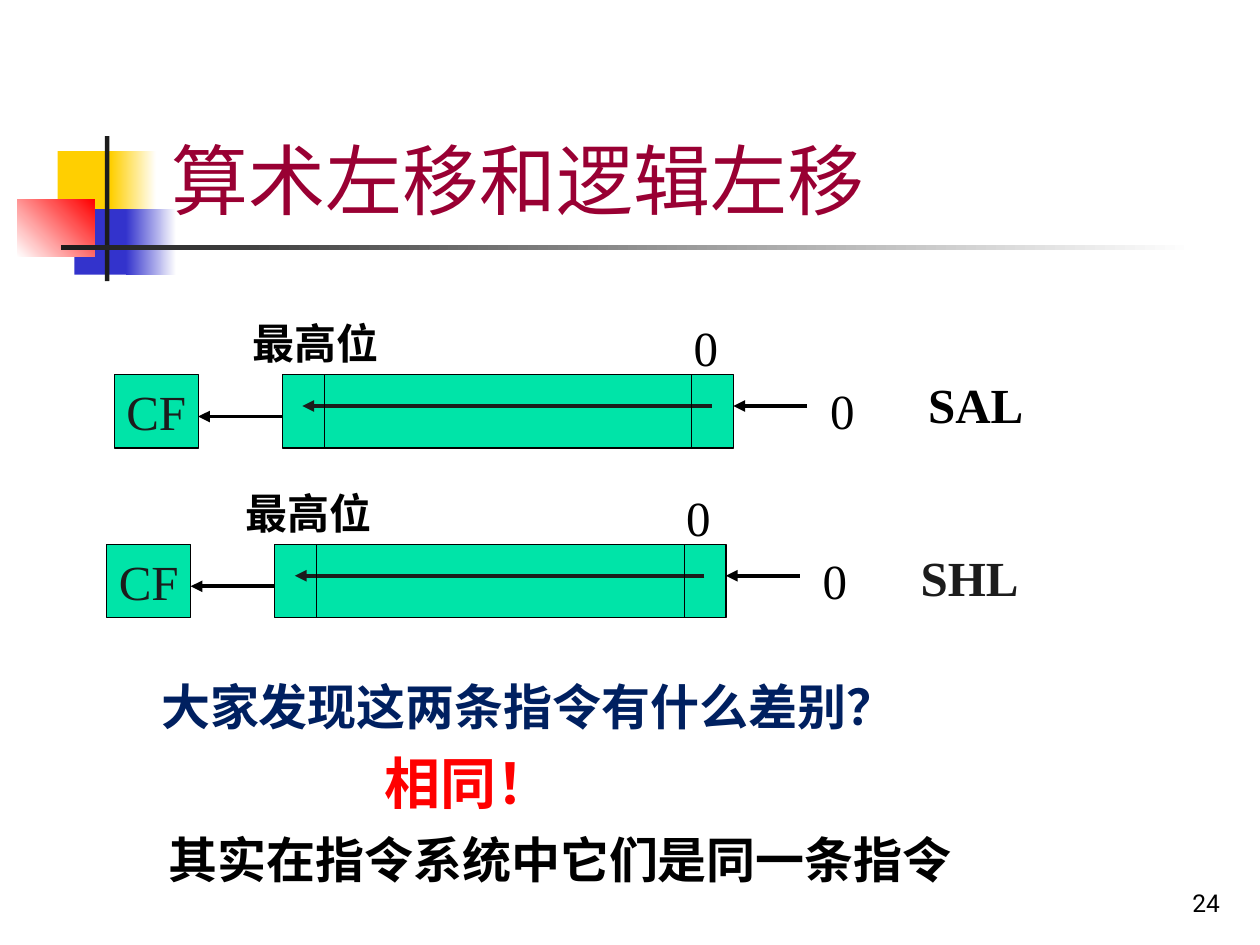
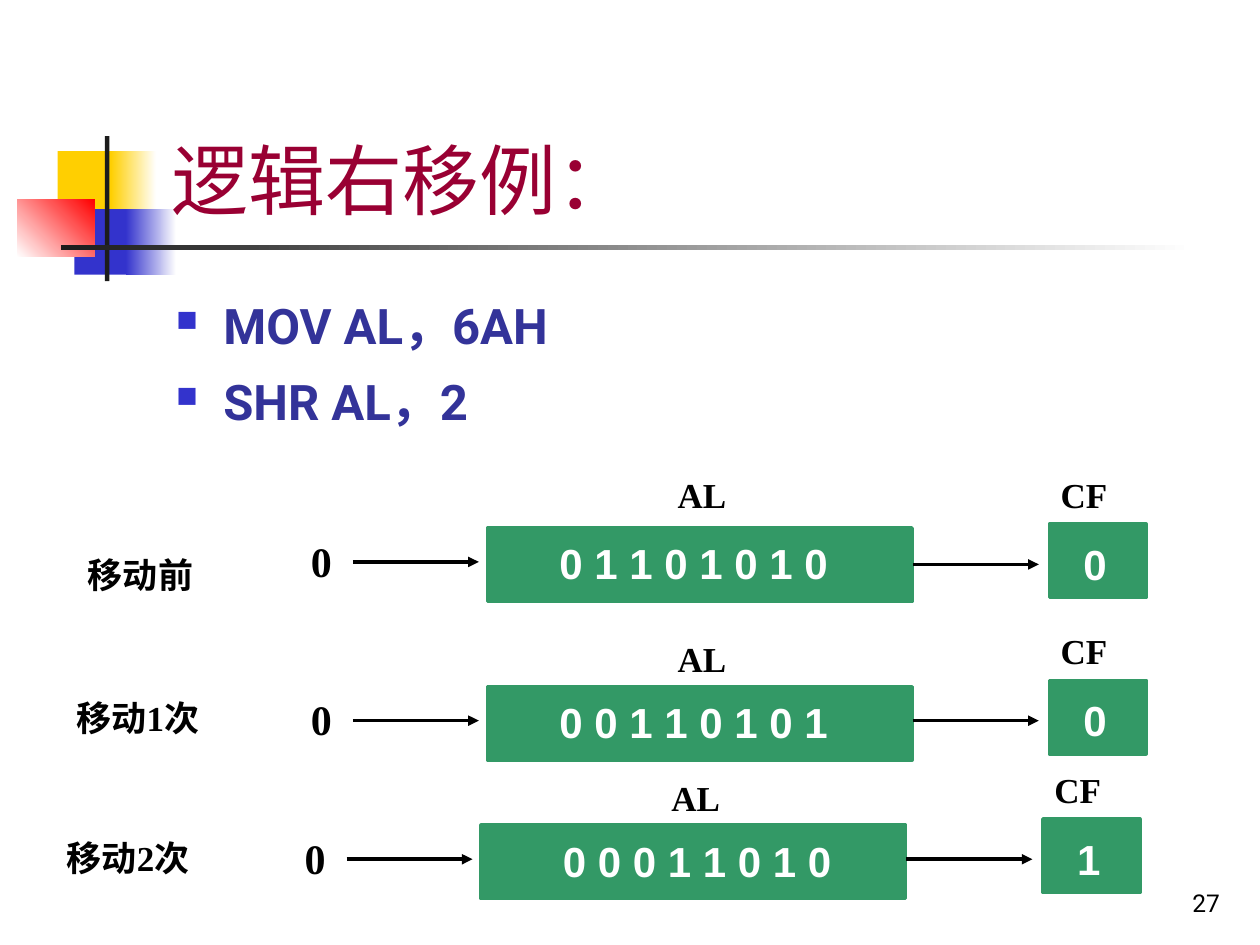
from lxml import etree
from pptx import Presentation
from pptx.dml.color import RGBColor
from pptx.enum.shapes import MSO_CONNECTOR, MSO_SHAPE
from pptx.enum.text import MSO_ANCHOR, PP_ALIGN
from pptx.oxml.ns import qn
from pptx.util import Pt

RECT = MSO_SHAPE.RECTANGLE
LINE = MSO_CONNECTOR.STRAIGHT
TOP, MIDDLE, BOTTOM = MSO_ANCHOR.TOP, MSO_ANCHOR.MIDDLE, MSO_ANCHOR.BOTTOM
LEFT, CENTER, RIGHT = PP_ALIGN.LEFT, PP_ALIGN.CENTER, PP_ALIGN.RIGHT

COLORS = {
    "black": "000000", "ink": "1C1C1C", "white": "FFFFFF",
    "gold": "FFCF01", "blue": "3333CC", "red": "FF0000",
    "wine": "990033", "code": "333399", "navy": "002060",
    "mint": "00E4A8", "green": "339966",
}

SERIF, SANS, PLAIN = "Times New Roman", "Arial", "Roboto"
FORMATS = {
    "title": {"name": PLAIN, "size": Pt(44), "bold": False},
    "page": {"name": PLAIN, "size": Pt(14), "bold": False},
    "code": {"name": PLAIN, "size": Pt(28), "bold": True},
    "digit": {"name": SERIF, "size": Pt(28), "bold": False},
    "name": {"name": SERIF, "size": Pt(28), "bold": True},
    "mark": {"name": SERIF, "size": Pt(24), "bold": True},
    "label": {"name": SERIF, "size": Pt(20), "bold": True},
    "bits": {"name": SANS, "size": Pt(24), "bold": True},
    "remark": {"name": SANS, "size": Pt(28), "bold": True},
    "answer": {"name": SANS, "size": Pt(32), "bold": True},
}


def rgb(color):
    return RGBColor.from_string(COLORS[color])


def add_run(para, words, style, color):
    run = para.add_run()
    run.text = words
    for key, value in FORMATS[style].items():
        setattr(run.font, key, value)
    run.font.color.rgb = rgb(color)
    run._r.get_or_add_rPr().set("lang", "zh-CN")


def add_text(slide, at, words, style, color="black", align=LEFT, anchor=TOP):
    frame = slide.shapes.add_textbox(*map(Pt, at)).text_frame
    frame.word_wrap = True
    frame.vertical_anchor = anchor
    para = frame.paragraphs[0]
    para.alignment = align
    add_run(para, words, style, color)


def add_box(slide, at, fill, edge=None, width=0.75):
    box = slide.shapes.add_shape(RECT, *map(Pt, at))
    box.shadow.inherit = False
    box.fill.solid()
    box.fill.fore_color.rgb = rgb(fill)
    if edge:
        box.line.color.rgb = rgb(edge)
        box.line.width = Pt(width)
    else:
        box.line.fill.background()
    return box


def add_fade(slide, at, start, end, angle=0):
    """Add a box whose colour runs from start to end, angle counter-clockwise."""
    fill = add_box(slide, at, start).fill
    fill.gradient()
    fill.gradient_angle = angle
    for stop, color in zip(fill.gradient_stops, (start, end)):
        stop.color.rgb = rgb(color)


def add_line(slide, start, end, width, color="black", arrow=False):
    line = slide.shapes.add_connector(LINE, *map(Pt, start + end))
    line.line.color.rgb = rgb(color)
    line.line.width = Pt(width)
    if arrow:
        edge = line.line._get_or_add_ln()
        etree.SubElement(edge, qn("a:tailEnd"), type="triangle")
    etree.SubElement(line._element.spPr, qn("a:effectLst"))


def add_bullet(para):
    props = para._p.get_or_add_pPr()
    props.set("marL", str(Pt(27)))
    props.set("indent", str(Pt(-27)))
    tint = etree.SubElement(props, qn("a:buClr"))
    etree.SubElement(tint, qn("a:srgbClr"), val=COLORS["blue"])
    etree.SubElement(props, qn("a:buSzPct"), val="60000")
    etree.SubElement(props, qn("a:buChar"), char="■")


def add_list(slide, at, items):
    frame = slide.shapes.add_textbox(*map(Pt, at)).text_frame
    frame.word_wrap = True
    for index, item in enumerate(items):
        para = frame.add_paragraph() if index else frame.paragraphs[0]
        para.line_spacing = 1.1
        para.space_before = Pt(4.6)
        para.space_after = Pt(1.6)
        add_bullet(para)
        add_run(para, item, "code", "code")


def add_slide(deck, title, page):
    """Add a slide with the shared band, title and page number."""
    slide = deck.slides.add_slide(deck.slide_layouts[6])
    add_box(slide, (33, 86.4, 34.6, 37.4), "gold")
    add_fade(slide, (63.4, 86.4, 25.9, 37.4), "gold", "white")
    add_box(slide, (42.5, 119.5, 33, 37.4), "blue")
    add_fade(slide, (72, 119.5, 28.8, 37.4), "blue", "white")
    add_fade(slide, (10, 113.8, 44, 33), "white", "red", 45)
    add_box(slide, (60, 77.8, 2.5, 82.8), "ink")
    add_fade(slide, (34.6, 140.2, 648, 2.5), "ink", "white")
    add_text(slide, (90.7, 16.6, 613.4, 115.2), title, "title", "wine",
             anchor=BOTTOM)
    add_text(slide, (554.4, 491.8, 149.8, 36), str(page), "page",
             align=RIGHT, anchor=BOTTOM)
    return slide


def add_shift(slide, x, y, name, rise, color):
    """Draw a left shift whose register has its top left corner at x, y."""
    wide, high, mid = 257.8, 42, y + 18
    add_box(slide, (x, y, wide, high), "mint", "black")
    flag = add_box(slide, (x - 96, y, 48, high), "mint", "black").text_frame
    flag.word_wrap = False
    flag.vertical_anchor = MIDDLE
    flag.paragraphs[0].alignment = CENTER
    add_run(flag.paragraphs[0], "CF", "digit", "ink")
    add_line(slide, (x + 300, mid), (x + wide, mid), 2.25, arrow=True)
    add_line(slide, (x, y + 24), (x - 48, y + 24), 2.25, arrow=True)
    add_line(slide, (x + 245.5, mid), (x + 11.5, mid), 2.25, "ink", True)
    for edge in (x + 24, x + 234):
        add_line(slide, (edge, y), (edge, y + high), 0.75)
    for left, top in ((x + 306, y), (x + 228, y - 36)):
        add_text(slide, (left, top, 36, 41), "0", "digit")
    add_text(slide, (x - 24, y - 36, 96, 36), "最高位", "mark")
    add_text(slide, (x + 362, y - rise, 90, 41), name, "name", color)


def add_step(slide, x, y, bits, carry, inset=34, lift=31.7, drop=0):
    """Draw a register with its bits and carry; drop lowers the carry part."""
    add_box(slide, (x, y, 242.6, 42), "green", "green", 2)
    add_text(slide, (x + inset, y + 2.2, 187, 36), bits, "bits", "white")
    add_text(slide, (x + 101.5, y - lift, 54, 31), "AL", "label")
    add_text(slide, (x - 108, y + 0.5, 42, 36), "0", "mark")
    add_line(slide, (x - 77, y + 19.4), (x - 5, y + 19.4), 2, arrow=True)
    low = y + drop
    add_line(slide, (x + 243, low + 19.4), (x + 315, low + 19.4), 2,
             arrow=True)
    add_text(slide, (x + 320.4, low - 36, 54, 31), "CF", "label")
    add_box(slide, (x + 321, low - 3.6, 55.4, 42), "green", "green", 2)
    add_text(slide, (x + 333.4, low + 1.2, 34, 36), carry, "bits", "white")


def left_slide(deck):
    slide = add_slide(deck, "算术左移和逻辑左移", 24)
    add_shift(slide, 161.3, 214, "SAL", 3.6, "black")
    add_shift(slide, 157, 311, "SHL", 1.4, "ink")
    add_text(slide, (85, 383, 457, 41), "大家发现这两条指令有什么差别？",
             "remark", "navy")
    add_text(slide, (212.4, 424, 146, 46), "相同！", "answer", "red")
    add_text(slide, (89.3, 470.2, 486, 41),
             "其实在指令系统中它们是同一条指令", "remark")


def right_slide(deck):
    slide = add_slide(deck, "逻辑右移例：", 27)
    add_list(slide, (93.6, 162, 465, 156), ("MOV AL，6AH", "SHR AL，2"))
    add_step(slide, 278.6, 301.7, "0 1 1 0 1 0 1 0", "0", lift=34.6, drop=1.4)
    add_step(slide, 278.6, 392.4, "0 0 1 1 0 1 0 1", "0")
    add_step(slide, 275, 471.6, "0 0 0 1 1 0 1 0", "1", inset=39.6)
    for left, top, label in ((43.2, 312.5, "移动前"), (36.7, 394.6, "移动1次"),
                             (31, 474.5, "移动2次")):
        add_text(slide, (left, top, 102, 31), label, "label")


def main():
    deck = Presentation()
    deck.slide_width, deck.slide_height = Pt(720), Pt(540)
    left_slide(deck)
    right_slide(deck)
    deck.save("out.pptx")


if __name__ == "__main__":
    main()
